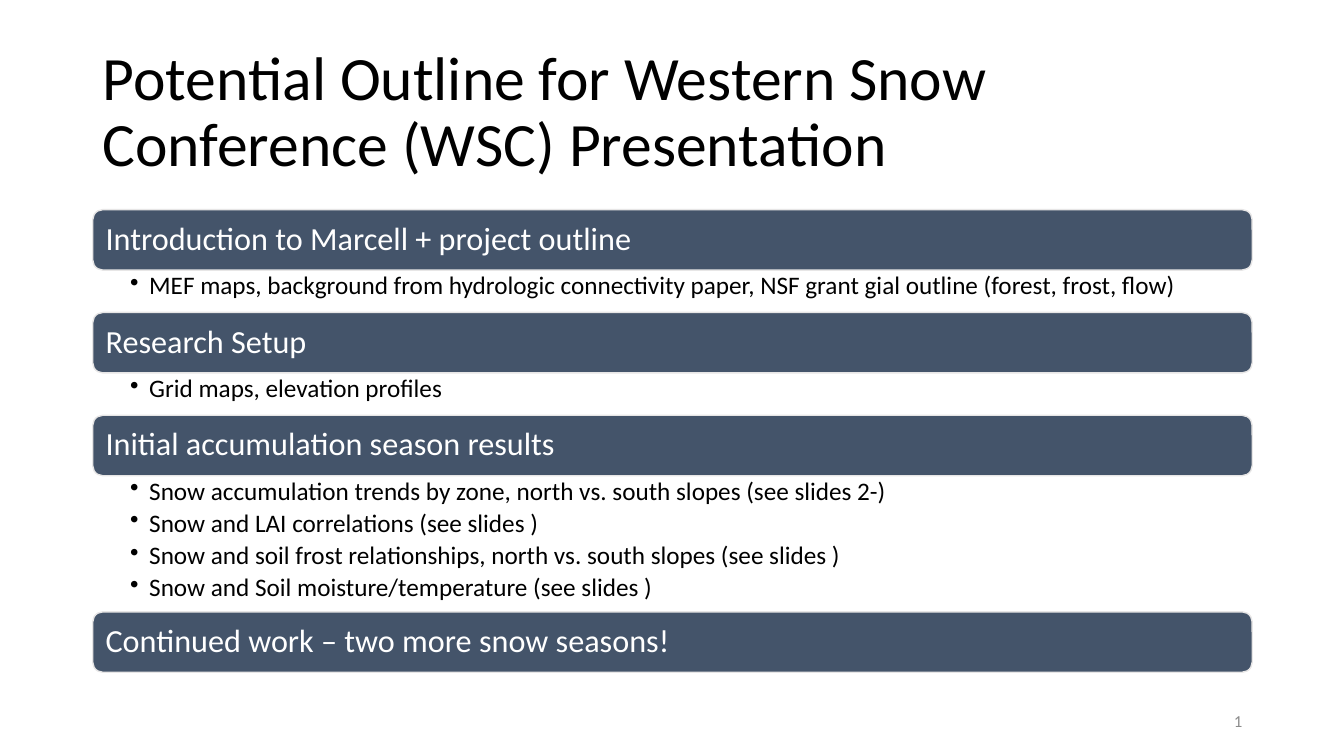
import pptx
import pptx.dml.color
import pptx.enum.shapes
import pptx.enum.text
import pptx.util
from lxml import etree

Inches = pptx.util.Inches
Pt = pptx.util.Pt
ALIGN = pptx.enum.text.PP_ALIGN
ANCHOR = pptx.enum.text.MSO_ANCHOR
LEFT, WIDTH = 0.92, 11.5
BAR = 0.6
TOPICS = [
    ("Introduction to Marcell + project outline", 0.42, [
        "MEF maps, background from hydrologic connectivity paper, "
        "NSF grant gial outline (forest, frost, flow)"]),
    ("Research Setup", 0.42, ["Grid maps, elevation profiles"]),
    ("Initial accumulation season results", 1.35, [
        "Snow accumulation trends by zone, north vs. south slopes (see slides 2-)",
        "Snow and LAI correlations (see slides )",
        "Snow and soil frost relationships, north vs. south slopes (see slides )",
        "Snow and Soil moisture/temperature (see slides )"]),
    ("Continued work – two more snow seasons!", 0, []),
]


def color(code):
    return pptx.dml.color.RGBColor.from_string(code)


def apply(target, values):
    for name, value in values.items():
        setattr(target, name, value)


def write(shape, lines, size, code, frame, para):
    text = shape.text_frame
    apply(text, {"word_wrap": True, **frame})
    text.text = "\n".join(lines)
    for item in text.paragraphs:
        apply(item, para)
        apply(item.font, {"name": "Calibri", "size": Pt(size)})
        item.font.color.rgb = color(code)
    return text


def add_text(slide, box, lines, size, code, frame, para):
    shape = slide.shapes.add_textbox(*map(Inches, box))
    return write(shape, lines, size, code, frame, para)


def add_bar(slide, top, label):
    kind = pptx.enum.shapes.MSO_SHAPE.ROUNDED_RECTANGLE
    bar = slide.shapes.add_shape(kind, *map(Inches, (LEFT, top, WIDTH, BAR)))
    bar.shadow.inherit = False
    bar.fill.solid()
    bar.fill.fore_color.rgb = color("44546A")
    bar.line.color.rgb = color("E7E6E6")
    bar.line.width = Pt(1)
    frame = {"vertical_anchor": ANCHOR.MIDDLE, "margin_left": Inches(0.1),
             "margin_right": Inches(0.1)}
    write(bar, [label], 23, "FFFFFF", frame,
          {"alignment": ALIGN.LEFT, "line_spacing": 0.9})


def add_list(slide, top, height, lines):
    frame = {"margin_left": Inches(0.37), "margin_right": Inches(0.18),
             "margin_top": Inches(0.03), "margin_bottom": Inches(0.03)}
    text = add_text(slide, (LEFT, top, WIDTH, height), lines, 18, "000000", frame,
                    {"level": 1, "line_spacing": 0.9, "space_after": Pt(3.5)})
    for item in text.paragraphs:
        props = item._p.get_or_add_pPr()
        props.set("marL", str(Inches(0.19)))
        props.set("indent", str(Inches(-0.19)))
        bullet = etree.SubElement(props, pptx.oxml.ns.qn("a:buChar"))
        bullet.set("char", "•")


def main():
    deck = pptx.Presentation()
    apply(deck, {"slide_width": Inches(13.33), "slide_height": Inches(7.5)})
    slide = deck.slides.add_slide(deck.slide_layouts[6])
    middle = {"vertical_anchor": ANCHOR.MIDDLE}
    add_text(slide, (LEFT, 0.4, WIDTH, 1.45),
             ["Potential Outline for Western Snow Conference (WSC) Presentation"],
             44, "000000", middle, {"line_spacing": 0.9})
    top = 2.08
    for label, height, lines in TOPICS:
        add_bar(slide, top, label)
        if lines:
            add_list(slide, top + BAR, height, lines)
        top += BAR + height
    add_text(slide, (9.42, 6.95, 3, 0.4), ["1"], 12, "8C8C8C", middle,
             {"alignment": ALIGN.RIGHT})
    deck.save("out.pptx")


if __name__ == "__main__":
    main()
